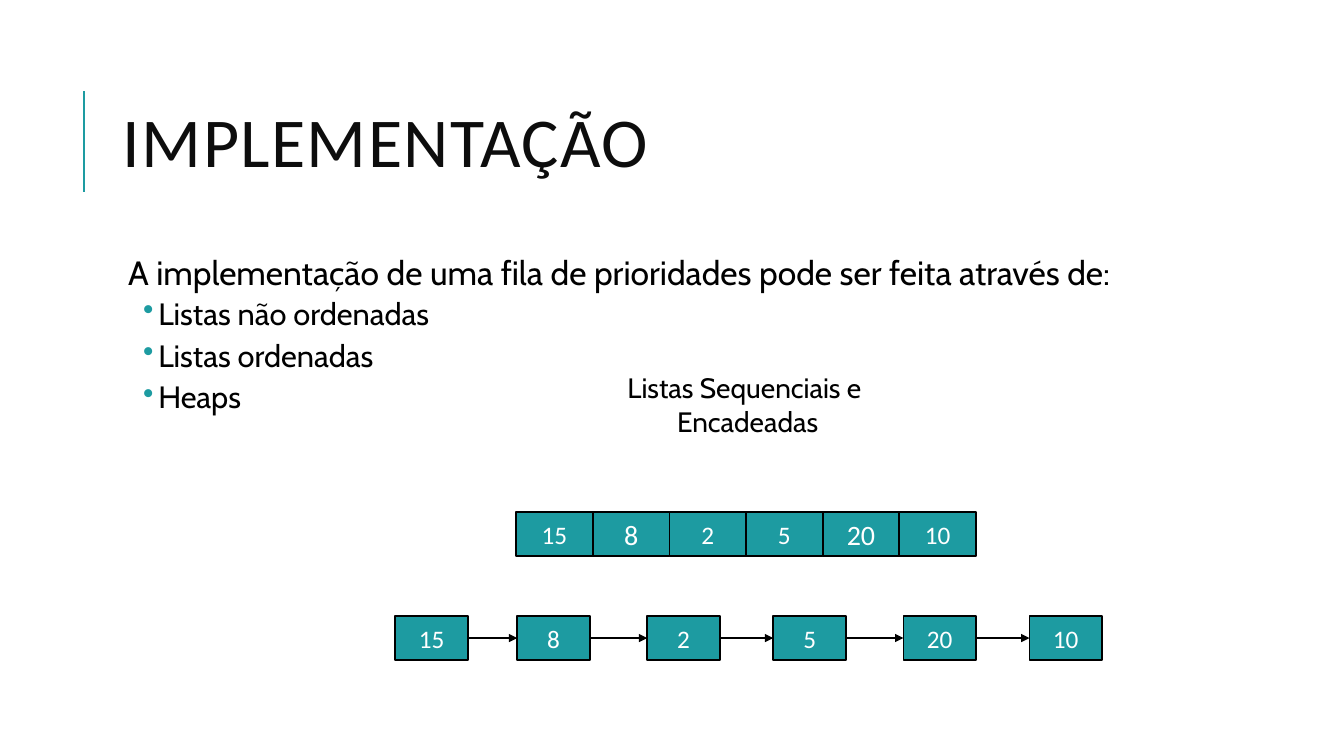
import pptx
import pptx.dml.color
import pptx.enum.shapes
import pptx.enum.text
import pptx.oxml
import pptx.oxml.ns
import pptx.util
from pptx.util import Inches

RGBColor = pptx.dml.color.RGBColor
TEAL = RGBColor(0x1D, 0x9B, 0xA1)
BLACK = RGBColor(0, 0, 0)
INK = RGBColor(0x0D, 0x0D, 0x0D)
WHITE = RGBColor(0xFF, 0xFF, 0xFF)
CENTER = pptx.enum.text.PP_ALIGN.CENTER
MIDDLE = pptx.enum.text.MSO_ANCHOR.MIDDLE
CONNECTOR = pptx.enum.shapes.MSO_CONNECTOR
RIGHT_SITE, LEFT_SITE = 3, 1


class Deck:
    """Holds the style and the current slide, and draws each kind of element."""

    heading_font = "Calibri"
    body_font = "Cabin"

    def __init__(self, prs):
        self.s = prs.slides.add_slide(prs.slide_layouts[6])

    def apply(self, obj, values):
        for name, value in values.items():
            setattr(obj, name, value)

    def xml(self, parent, tag, **attrs):
        el = pptx.oxml.parse_xml(f"<a:{tag} {pptx.oxml.ns.nsdecls('a')}/>")
        for name, value in attrs.items():
            el.set(name, str(value))
        parent.append(el)
        return el

    def fill_text(self, p, text, size, font, color, **layout):
        p.text = text
        self.apply(p, layout)
        for r in p.runs:
            self.apply(r.font, {"size": pptx.util.Pt(size), "name": font})
            r.font.color.rgb = color

    def indent(self, p, left, first=0):
        pPr = p._p.get_or_add_pPr()
        pPr.set("marL", str(Inches(left)))
        pPr.set("indent", str(Inches(first)))
        return pPr

    def box(self, x, y, w, h, **frame):
        sp = self.s.shapes.add_textbox(Inches(x), Inches(y), Inches(w), Inches(h))
        self.apply(sp.text_frame, {"word_wrap": True, **frame})
        return sp.text_frame

    def title(self, text):
        p = self.box(1.12, 0.64, 10.63, 1.64, vertical_anchor=MIDDLE).paragraphs[0]
        self.fill_text(p, text, 50, self.heading_font, INK, line_spacing=0.8)
        p.runs[0].font._element.set("spc", "100")

    def bullets(self, lead, items):
        sides = ("left", "right", "top", "bottom")
        tf = self.box(1.12, 2.5, 10.63, 4.4, **{f"margin_{side}": Inches(0.05) for side in sides})
        p = tf.paragraphs[0]
        self.fill_text(p, lead, 24, self.body_font, BLACK, line_spacing=0.9,
                       space_before=pptx.util.Pt(12), space_after=pptx.util.Pt(2))
        self.indent(p, 0.1)
        for item in items:
            p = tf.add_paragraph()
            self.fill_text(p, item, 22, self.body_font, BLACK, level=1, line_spacing=0.9,
                           space_before=pptx.util.Pt(2), space_after=pptx.util.Pt(4))
            pPr = self.indent(p, 0.4, -0.15)
            self.xml(self.xml(pPr, "buClr"), "srgbClr", val=TEAL)
            self.xml(pPr, "buChar", char="•")

    def caption(self, text):
        p = self.box(5.92, 3.63, 2.99, 0.77).paragraphs[0]
        self.fill_text(p, text, 20, self.body_font, BLACK, alignment=CENTER)

    def cell(self, x, y, w, text, size=18):
        sp = self.s.shapes.add_shape(pptx.enum.shapes.MSO_SHAPE.RECTANGLE,
                                     Inches(x), Inches(y), Inches(w), Inches(0.44))
        sp.shadow.inherit = False
        sp.fill.solid()
        sp.fill.fore_color.rgb = TEAL
        sp.line.color.rgb = BLACK
        sp.line.width = pptx.util.Pt(1.25)
        tf = sp.text_frame
        tf.vertical_anchor = MIDDLE
        self.fill_text(tf.paragraphs[0], text, size, self.heading_font, WHITE, alignment=CENTER)
        return sp

    def line(self, kind, color, x1=0, y1=0, x2=0, y2=0):
        c = self.s.shapes.add_connector(kind, Inches(x1), Inches(y1), Inches(x2), Inches(y2))
        c.line.color.rgb = color
        c.line.width = pptx.util.Pt(1.5)
        self.xml(c._element.spPr, "effectLst")
        return c

    def arrow(self, start, end, kind):
        c = self.line(kind, BLACK)
        c.begin_connect(start, RIGHT_SITE)
        c.end_connect(end, LEFT_SITE)
        self.xml(c.line._get_or_add_ln(), "tailEnd", type="triangle")


def main():
    prs = pptx.Presentation()
    prs.slide_width, prs.slide_height = Inches(13.33), Inches(7.5)
    deck = Deck(prs)
    deck.line(CONNECTOR.STRAIGHT, TEAL, 0.83, 1.9, 0.83, 0.9)
    deck.title("IMPLEMENTAÇÃO")
    deck.bullets("A implementação de uma fila de prioridades pode ser feita através de:",
                 ["Listas não ordenadas", "Listas ordenadas", "Heaps"])
    deck.caption("Listas Sequenciais e \vEncadeadas")

    values = ["15", "8", "2", "5", "20", "10"]
    larger = {"8", "20"}
    for i, value in enumerate(values):
        deck.cell(5.12 + i * 0.76, 5.08, 0.76, value, 20 if value in larger else 18)

    node_lefts = [3.92, 5.13, 6.42, 7.67, 8.96, 10.21]
    nodes = [deck.cell(x, 6.11, 0.72, value) for x, value in zip(node_lefts, values)]
    for i, (start, end) in enumerate(zip(nodes, nodes[1:])):
        deck.arrow(start, end, CONNECTOR.ELBOW if i % 2 else CONNECTOR.STRAIGHT)
    prs.save("out.pptx")


if __name__ == "__main__":
    main()
